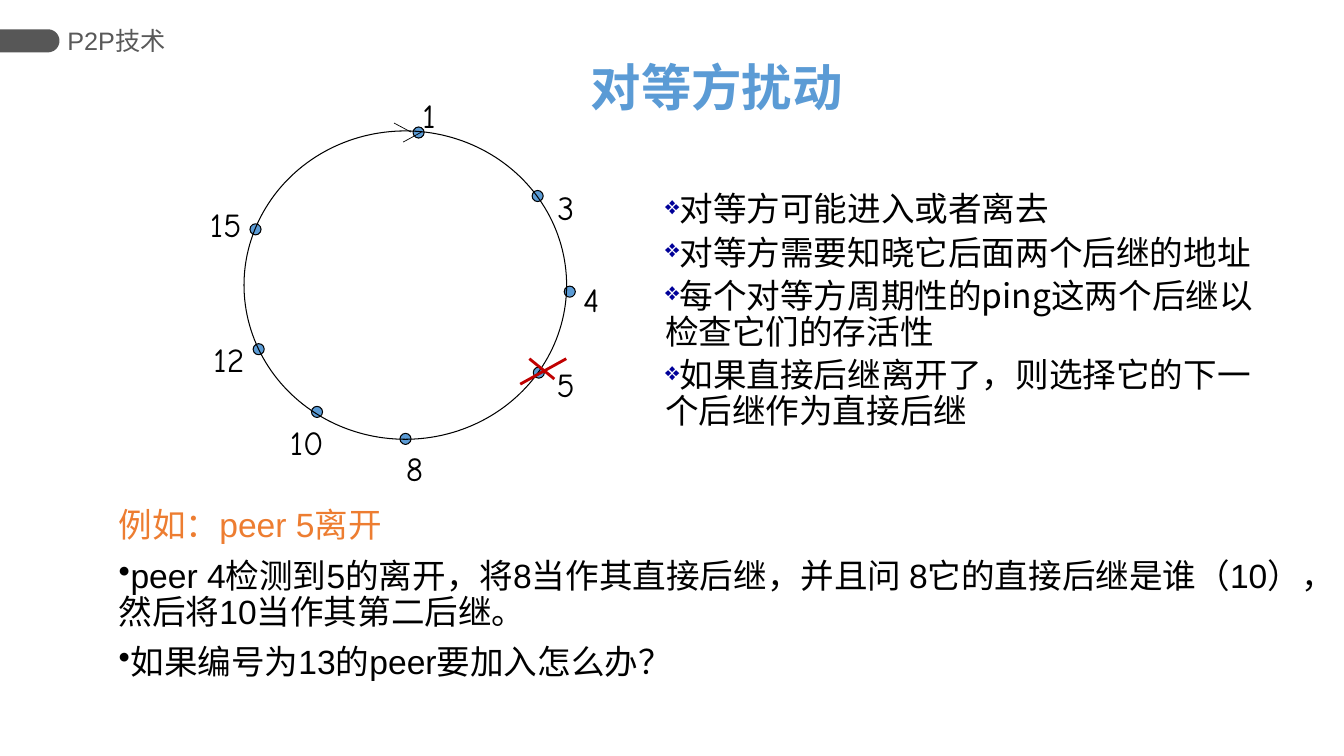
from math import cos, pi, sin

from lxml.etree import SubElement
from pptx import Presentation
from pptx.dml.color import RGBColor
from pptx.enum.shapes import MSO_CONNECTOR, MSO_SHAPE
from pptx.enum.text import MSO_ANCHOR, MSO_AUTO_SIZE, PP_ALIGN
from pptx.oxml.ns import qn
from pptx.util import Cm, Pt

BLACK, BLUE, ORANGE, RED = "000000", "5B9BD5", "ED7D31", "C00000"
CJK = "Noto Sans CJK SC"

HEADER = "P2P技术"
TITLE = "对等方扰动"
RULES = [
    "对等方可能进入或者离去",
    "对等方需要知晓它后面两个后继的地址",
    "每个对等方周期性的ping这两个后继以检查它们的存活性",
    "如果直接后继离开了，则选择它的下一个后继作为直接后继",
]
EXAMPLE_HEADING = "例如：peer 5离开"
EXAMPLE = [
    "peer 4检测到5的离开，将8当作其直接后继，并且问 8它的直接后继是谁（10），然后将10当作其第二后继。",
    "如果编号为13的peer要加入怎么办？",
]
# Peer: (dot centre, label centre), in cm
PEERS = {
    "1": ((10.55, 3.34), (10.81, 2.9)),
    "3": ((13.55, 4.94), (14.26, 5.23)),
    "4": ((14.36, 7.35), (14.9, 7.54)),
    "5": ((13.58, 9.39), (14.26, 9.68)),
    "8": ((10.22, 11.06), (10.45, 11.79)),
    "10": ((7.99, 10.38), (7.73, 11.15)),
    "12": ((6.52, 8.8), (5.77, 9.04)),
    "15": ((6.44, 5.78), (5.69, 5.64)),
}
RING = (6.15, 3.3, 8.13, 7.77)
DOT_SIZE = 0.28
LABEL_WIDTH, LABEL_HEIGHT = 1.47, 1.27
ARROW_STROKES = [(9.93, 3.1, 10.36, 3.33), (10.62, 3.33, 10.16, 3.58)]
CROSS_STROKES = [(13.34, 9.04, 13.97, 9.55), (14.27, 9.04, 13.11, 9.68)]


def color(value):
    return RGBColor.from_string(value)


def add_bullet(paragraph, char, bullet_color=None, percent=None):
    properties = paragraph._p.get_or_add_pPr()
    properties.set("marL", "0")
    properties.set("indent", "0")
    if bullet_color:
        holder = SubElement(properties, qn("a:buClr"))
        SubElement(holder, qn("a:srgbClr")).set("val", bullet_color)
    if percent:
        SubElement(properties, qn("a:buSzPct")).set("val", str(percent * 1000))
    SubElement(properties, qn("a:buChar")).set("char", char)


def write(paragraph, text, font_name, size, text_color, bold=False, **layout):
    for name, value in layout.items():
        setattr(paragraph, name, value)
    run = paragraph.add_run()
    run.text = text
    for name, value in {"name": font_name, "size": Pt(size), "bold": bold}.items():
        setattr(run.font, name, value)
    run.font.color.rgb = color(text_color)
    SubElement(run._r.get_or_add_rPr(), qn("a:ea")).set("typeface", CJK)


def add_text_box(slide, left, top, width, height, wrap=True):
    shape = slide.shapes.add_textbox(Cm(left), Cm(top), Cm(width), Cm(height))
    shape.text_frame.word_wrap = wrap
    return shape.text_frame


def add_ellipse(slide, left, top, width, height, fill=None):
    shape = slide.shapes.add_shape(
        MSO_SHAPE.OVAL, Cm(left), Cm(top), Cm(width), Cm(height))
    shape.shadow.inherit = False
    if fill:
        shape.fill.solid()
        shape.fill.fore_color.rgb = color(fill)
    else:
        shape.fill.background()
    shape.line.color.rgb = color(BLACK)
    shape.line.width = Pt(0.75)


def add_strokes(slide, strokes, line_color, width):
    for stroke in strokes:
        line = slide.shapes.add_connector(
            MSO_CONNECTOR.STRAIGHT, *(Cm(value) for value in stroke))
        line.line.color.rgb = color(line_color)
        line.line.width = Pt(width)
        SubElement(line._element.spPr, qn("a:effectLst"))


def add_header(slide):
    straight, radius, middle, steps = 1.21, 0.29, 1.03, 24
    angles = [pi * step / steps - pi / 2 for step in range(steps + 1)]
    points = [(Cm(straight + radius * cos(angle)), Cm(middle + radius * sin(angle)))
              for angle in angles]
    builder = slide.shapes.build_freeform(0, Cm(middle - radius))
    builder.add_line_segments(points + [(0, Cm(middle + radius))], close=True)
    tab = builder.convert_to_shape()
    tab.shadow.inherit = False
    tab.fill.solid()
    tab.fill.fore_color.rgb = color("575757")
    tab.line.fill.background()

    frame = add_text_box(slide, 1.7, 0.49, 11.96, 1.07)
    frame.margin_left = frame.margin_right = 0
    frame.vertical_anchor = MSO_ANCHOR.MIDDLE
    write(frame.paragraphs[0], HEADER, "Arial", 18, "595959")


def add_title(slide):
    title = slide.shapes.title
    place = {"left": 14.63, "top": 1.45, "width": 15.14, "height": 3.18}
    for name, value in place.items():
        setattr(title, name, Cm(value))
    frame = title.text_frame
    frame.auto_size = MSO_AUTO_SIZE.NONE
    frame.vertical_anchor = MSO_ANCHOR.TOP
    write(frame.paragraphs[0], TITLE, "Arial", 36, BLUE, bold=True,
          alignment=PP_ALIGN.LEFT, line_spacing=0.9)


def add_ring(slide):
    for (x, y), _ in PEERS.values():
        add_ellipse(slide, x - DOT_SIZE / 2, y - DOT_SIZE / 2,
                    DOT_SIZE, DOT_SIZE, BLUE)
    add_ellipse(slide, *RING)
    for peer, (_, (x, y)) in PEERS.items():
        frame = add_text_box(slide, x - LABEL_WIDTH / 2, y - LABEL_HEIGHT / 2,
                             LABEL_WIDTH, LABEL_HEIGHT, wrap=False)
        write(frame.paragraphs[0], peer, "Comic Neue", 24, BLACK,
              alignment=PP_ALIGN.CENTER)
    add_strokes(slide, ARROW_STROKES, BLACK, 0.5)
    add_strokes(slide, CROSS_STROKES, RED, 2)


def add_rules(slide):
    frame = add_text_box(slide, 16.51, 4.72, 15.77, 7.67)
    for index, text in enumerate(RULES):
        paragraph = frame.add_paragraph() if index else frame.paragraphs[0]
        add_bullet(paragraph, "❖", "000099", 75)
        write(paragraph, text, CJK, 24, BLACK, line_spacing=Pt(26),
              space_before=Pt(4.8 if index else 0))


def add_example(slide):
    frame = add_text_box(slide, 2.74, 12.7, 31.55, 5.92)
    write(frame.paragraphs[0], EXAMPLE_HEADING, "Arial", 24, ORANGE,
          line_spacing=0.9)
    for text in EXAMPLE:
        paragraph = frame.add_paragraph()
        add_bullet(paragraph, "•")
        write(paragraph, text, "Arial", 24, BLACK, line_spacing=0.9,
              space_before=Pt(10))


def main():
    presentation = Presentation()
    presentation.slide_width, presentation.slide_height = Cm(33.87), Cm(19.05)
    slide = presentation.slides.add_slide(presentation.slide_layouts[5])
    for add_part in (add_header, add_title, add_example, add_ring, add_rules):
        add_part(slide)
    presentation.save("out.pptx")


if __name__ == "__main__":
    main()
